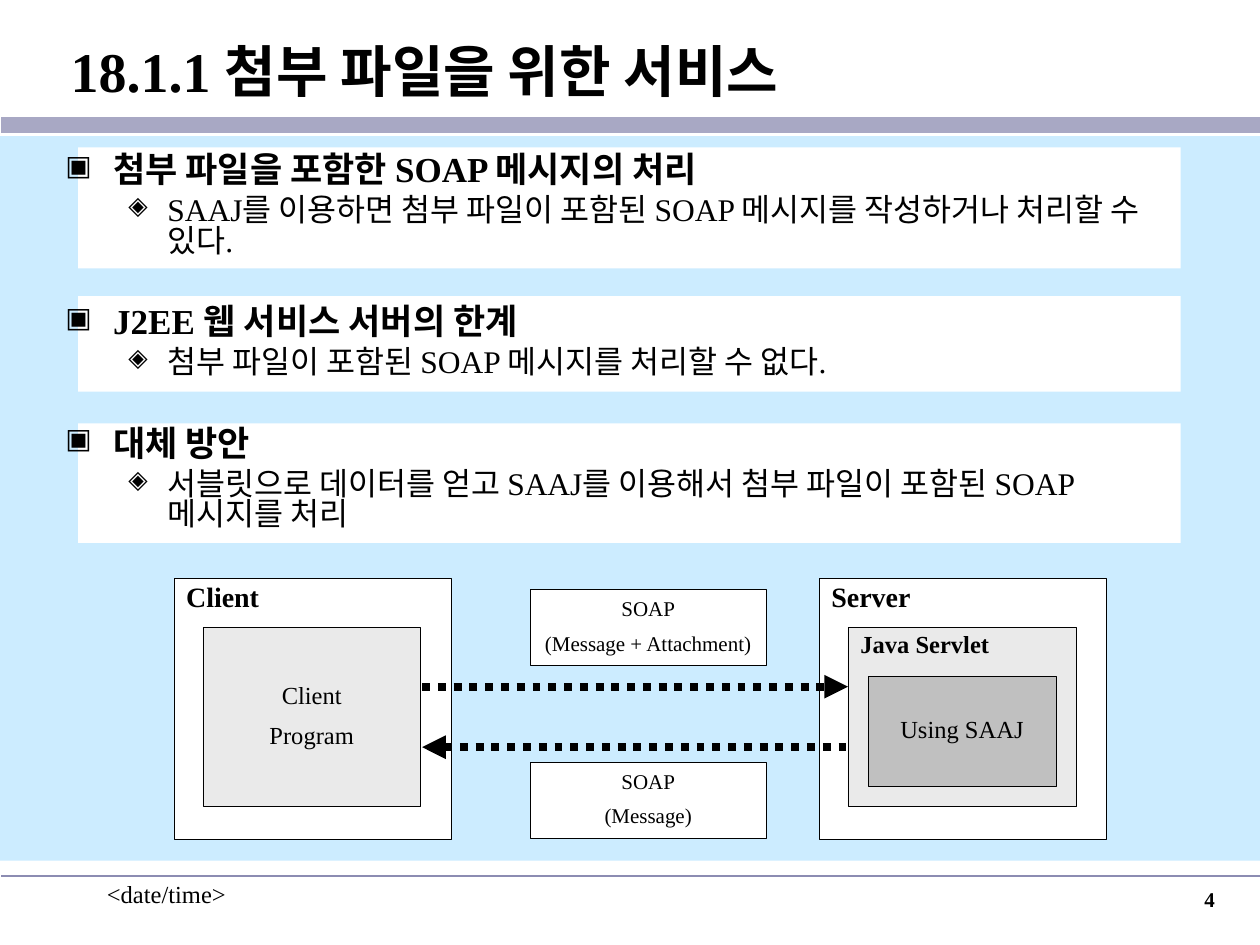
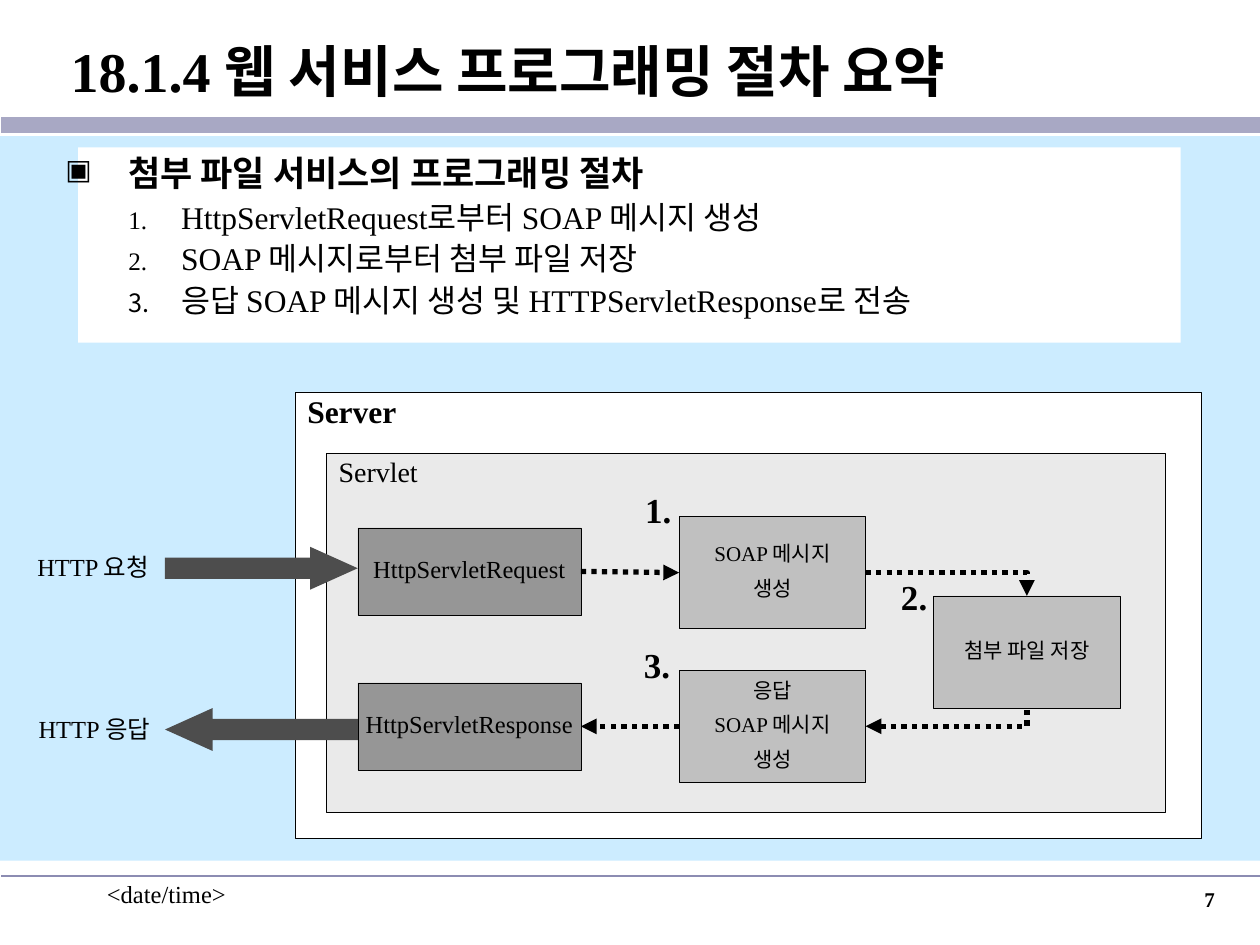
from pptx import Presentation
from pptx.dml.color import RGBColor
from pptx.enum import dml, shapes, text
from pptx.oxml import ns
from pptx.util import Inches, Pt
from lxml import etree

FONT = "Times New Roman"
BLACK = RGBColor(0x00, 0x00, 0x00)
WHITE = RGBColor(0xFF, 0xFF, 0xFF)
SKY = RGBColor(0xCC, 0xEC, 0xFF)
TITLE_RULE = RGBColor(0xA8, 0xA8, 0xC4)
FOOTER_RULE = RGBColor(0x8C, 0x8C, 0xB2)
PALE = RGBColor(0xEA, 0xEA, 0xEA)
SILVER = RGBColor(0xC0, 0xC0, 0xC0)
GRAY = RGBColor(0x96, 0x96, 0x96)
CHARCOAL = RGBColor(0x4D, 0x4D, 0x4D)

LEFT, CENTER, RIGHT = text.PP_ALIGN.LEFT, text.PP_ALIGN.CENTER, text.PP_ALIGN.RIGHT
TOP, MIDDLE = text.MSO_ANCHOR.TOP, text.MSO_ANCHOR.MIDDLE
RECTANGLE = shapes.MSO_SHAPE.RECTANGLE
STRAIGHT, ELBOW = shapes.MSO_CONNECTOR.STRAIGHT, shapes.MSO_CONNECTOR.ELBOW
SIDE_TOP, SIDE_LEFT, SIDE_BOTTOM, SIDE_RIGHT = range(4)


def add_box(page, area, words="", *, holder=None, kind=RECTANGLE, fill=None, outline=None,
            size=14, bold=False, align=CENTER, anchor=MIDDLE, spacing=0.85):
    """Place a filled shape, a plain text box (no fill) or a given placeholder."""
    left, top, width, height = [Inches(length) for length in area]
    if holder is not None:
        box = holder
        box.left, box.top, box.width, box.height = left, top, width, height
    elif fill is None:
        box = page.shapes.add_textbox(left, top, width, height)
    else:
        box = page.shapes.add_shape(kind, left, top, width, height)
        box.shadow.inherit = False
        box.fill.solid()
        box.fill.fore_color.rgb = fill
        if outline is None:
            box.line.fill.background()
        else:
            box.line.color.rgb = outline
            box.line.width = Pt(0.25)
    frame = box.text_frame
    frame.auto_size = text.MSO_AUTO_SIZE.NONE
    frame.word_wrap = align != CENTER
    frame.vertical_anchor = anchor
    for index, line in enumerate(words.split("\n") if words else []):
        para = frame.add_paragraph() if index else frame.paragraphs[0]
        para.alignment = align
        para.line_spacing = spacing
        para.space_before = Pt(size * 0.625 if index else 0)
        span = para.add_run()
        span.text = line
        span.font.name, span.font.size, span.font.bold = FONT, Pt(size), bold
        span.font.color.rgb = BLACK
    return box


def add_line(page, start, end, *, color=BLACK, width=3, kind=STRAIGHT, dotted=True, arrow=None):
    """Join two points, or two (box, side) pairs; arrow is headEnd or tailEnd."""
    glued = not isinstance(start[0], (int, float))
    points = (0, 0, 0, 0) if glued else (*start, *end)
    line = page.shapes.add_connector(kind, *[Inches(value) for value in points])
    if glued:
        line.begin_connect(*start)
        line.end_connect(*end)
    if kind == ELBOW:
        line._element.spPr.find(ns.qn("a:prstGeom")).set("prst", "bentConnector2")
    line.line.color.rgb = color
    line.line.width = Pt(width)
    if dotted:
        line.line.dash_style = dml.MSO_LINE.ROUND_DOT
    properties = line._element.spPr
    if arrow:
        etree.SubElement(properties.find(ns.qn("a:ln")), ns.qn("a:" + arrow), type="triangle")
    etree.SubElement(properties, ns.qn("a:effectLst"))


deck = Presentation()
deck.slide_width, deck.slide_height = Inches(10), Inches(7.5)

# Each body line is (level, text); hanging holds (margin, indent) for each level.
outlines = [
    dict(title="18.1.1 첨부 파일을 위한 서비스", number="4", spacing=0.8, numbered=False,
         panels=[(3.36, 0.95), (2.35, 0.76), (1.17, 0.96)],
         hanging=[(0.38, 0.38), (0.81, 0.31)], body_height=3.34,
         body=[(0, "첨부 파일을 포함한 SOAP 메시지의 처리"),
               (1, "SAAJ를 이용하면 첨부 파일이 포함된 SOAP 메시지를 작성하거나 처리할 수 있다."),
               (0, "J2EE 웹 서비스 서버의 한계"),
               (1, "첨부 파일이 포함된 SOAP 메시지를 처리할 수 없다."),
               (0, "대체 방안"),
               (1, "서블릿으로 데이터를 얻고 SAAJ를 이용해서 첨부 파일이 포함된 SOAP 메시지를 처리")]),
    dict(title="18.1.4 웹 서비스 프로그래밍 절차 요약", number="7", spacing=0.9, numbered=True,
         panels=[(1.17, 1.55)],
         hanging=[(0.5, 0.5), (0.92, 0.42)], body_height=1.53,
         body=[(0, "첨부 파일 서비스의 프로그래밍 절차"),
               (1, "HttpServletRequest로부터 SOAP 메시지 생성"),
               (1, "SOAP 메시지로부터 첨부 파일 저장"),
               (1, "응답 SOAP 메시지 생성 및 HTTPServletResponse로 전송")]),
]

# Frame and body text of both pages
pages = []
for outline in outlines:
    page = deck.slides.add_slide(deck.slide_layouts[5])
    pages.append(page)
    title = add_box(page, (0.01, 0.11, 9.99, 0.9), outline["title"], holder=page.shapes.title,
                    size=32, bold=True, align=LEFT, spacing=1.0)
    title.text_frame.margin_left = Inches(0.55)
    add_line(page, (0.01, 0.99), (10, 0.99), color=TITLE_RULE, width=9.25, dotted=False)
    add_line(page, (0.01, 6.95), (10, 6.95), color=FOOTER_RULE, width=1, dotted=False)
    add_box(page, (0.75, 6.93, 2.08, 0.5), "<date/time>", align=LEFT, anchor=TOP, spacing=1.0)
    add_box(page, (7.66, 6.99, 2.08, 0.5), outline["number"], size=12, bold=True,
            align=RIGHT, anchor=TOP, spacing=1.0)
    add_box(page, (0, 1.08, 10, 5.75), fill=SKY)
    for top, height in outline["panels"]:
        add_box(page, (0.62, top, 8.75, height), fill=WHITE)

    body = add_box(page, (0.42, 1.19, 9.16, outline["body_height"]), align=LEFT, anchor=TOP)
    for index, (level, words) in enumerate(outline["body"]):
        para = body.text_frame.add_paragraph() if index else body.text_frame.paragraphs[0]
        para.level = level
        para.line_spacing = outline["spacing"]
        if index:
            para.space_before = Pt(4.5 if level else 28.4)
        margin, indent = outline["hanging"][level]
        properties = para._p.get_or_add_pPr()
        properties.set("marL", str(Inches(margin)))
        properties.set("indent", str(-Inches(indent)))
        bullet_color = etree.SubElement(properties, ns.qn("a:buClr"))
        etree.SubElement(bullet_color, ns.qn("a:srgbClr"), val=str(BLACK))
        etree.SubElement(properties, ns.qn("a:buSzPct"), val="80000")
        if level and outline["numbered"]:
            etree.SubElement(properties, ns.qn("a:buAutoNum"), type="arabicPeriod")
        else:
            etree.SubElement(properties, ns.qn("a:buChar"), char="▣◈"[level])
        span = para.add_run()
        span.text = words
        span.font.name, span.font.size, span.font.bold = FONT, Pt(18 if level else 20), level == 0
        span.font.color.rgb = BLACK

attachment_page, procedure_page = pages

# Client and server exchanging SOAP messages
for area, words, fill, size in [
    ((1.38, 4.59, 2.2, 2.07), "Client", WHITE, 16),
    ((6.5, 4.59, 2.28, 2.07), "Server", WHITE, 16),
    ((6.73, 4.98, 1.81, 1.42), "Java Servlet", PALE, 14),
]:
    add_box(attachment_page, area, words, fill=fill, outline=BLACK, size=size, bold=True,
            align=LEFT, anchor=TOP)
for area, words, fill, size in [
    ((6.89, 5.37, 1.49, 0.87), "Using SAAJ", SILVER, 14),
    ((1.61, 4.98, 1.73, 1.42), "Client\nProgram", PALE, 14),
    ((4.21, 4.68, 1.87, 0.6), "SOAP\n(Message + Attachment)", WHITE, 12),
    ((4.21, 6.05, 1.87, 0.6), "SOAP\n(Message)", WHITE, 12),
]:
    add_box(attachment_page, area, words, fill=fill, outline=BLACK, size=size)
for height, arrow in [(5.45, "tailEnd"), (5.93, "headEnd")]:
    add_line(attachment_page, (3.35, height), (6.73, height), width=4.5, arrow=arrow)

# Steps inside the servlet
add_box(procedure_page, (2.34, 3.11, 7.19, 3.54), "Server", fill=WHITE, outline=BLACK,
        size=18, bold=True, align=LEFT, anchor=TOP)
add_box(procedure_page, (2.59, 3.6, 6.66, 2.85), "Servlet", fill=PALE, outline=BLACK,
        size=16, align=LEFT, anchor=TOP)
request, response = [
    add_box(procedure_page, (2.84, top, 1.77, 0.69), words, fill=GRAY, outline=BLACK)
    for top, words in [(4.19, "HttpServletRequest"), (5.42, "HttpServletResponse")]
]
create, reply, save = [
    add_box(procedure_page, (left, top, 1.48, 0.89), words, fill=SILVER, outline=BLACK, size=12)
    for left, top, words in [
        (5.39, 4.1, "SOAP 메시지\n생성"),
        (5.39, 5.32, "응답\nSOAP 메시지\n생성"),
        (7.41, 4.73, "첨부 파일 저장"),
    ]
]
for start, end, kind, arrow in [
    ((request, SIDE_RIGHT), (create, SIDE_LEFT), STRAIGHT, "tailEnd"),
    ((create, SIDE_RIGHT), (save, SIDE_TOP), ELBOW, "tailEnd"),
    ((reply, SIDE_RIGHT), (save, SIDE_BOTTOM), ELBOW, "headEnd"),
    ((reply, SIDE_LEFT), (response, SIDE_RIGHT), STRAIGHT, "tailEnd"),
]:
    add_line(procedure_page, start, end, kind=kind, arrow=arrow)
for top, kind, words, label_left, label_top in [
    (4.34, shapes.MSO_SHAPE.RIGHT_ARROW, "HTTP 요청", 0.16, 4.37),
    (5.62, shapes.MSO_SHAPE.LEFT_ARROW, "HTTP 응답", 0.17, 5.65),
]:
    arrow_shape = add_box(procedure_page, (1.31, top, 1.53, 0.34), kind=kind, fill=CHARCOAL)
    arrow_shape.adjustments[0], arrow_shape.adjustments[1] = 0.5, 1.11
    add_box(procedure_page, (label_left, label_top, 1.16, 0.3), words, anchor=TOP)
for left, top, step in [(5.02, 3.88, "1."), (7.05, 4.57, "2."), (5.01, 5.11, "3.")]:
    add_box(procedure_page, (left, top, 0.41, 0.39), step, size=20, bold=True, anchor=TOP)

deck.save("out.pptx")
